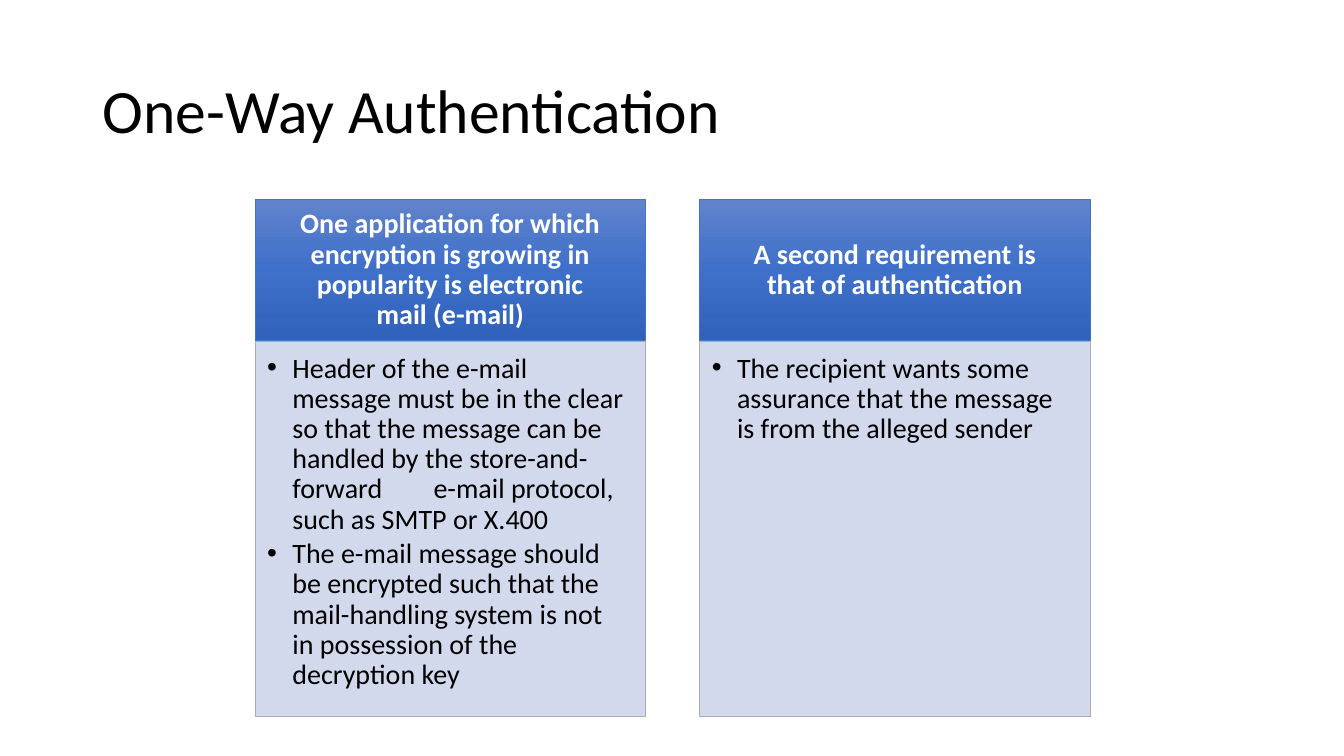
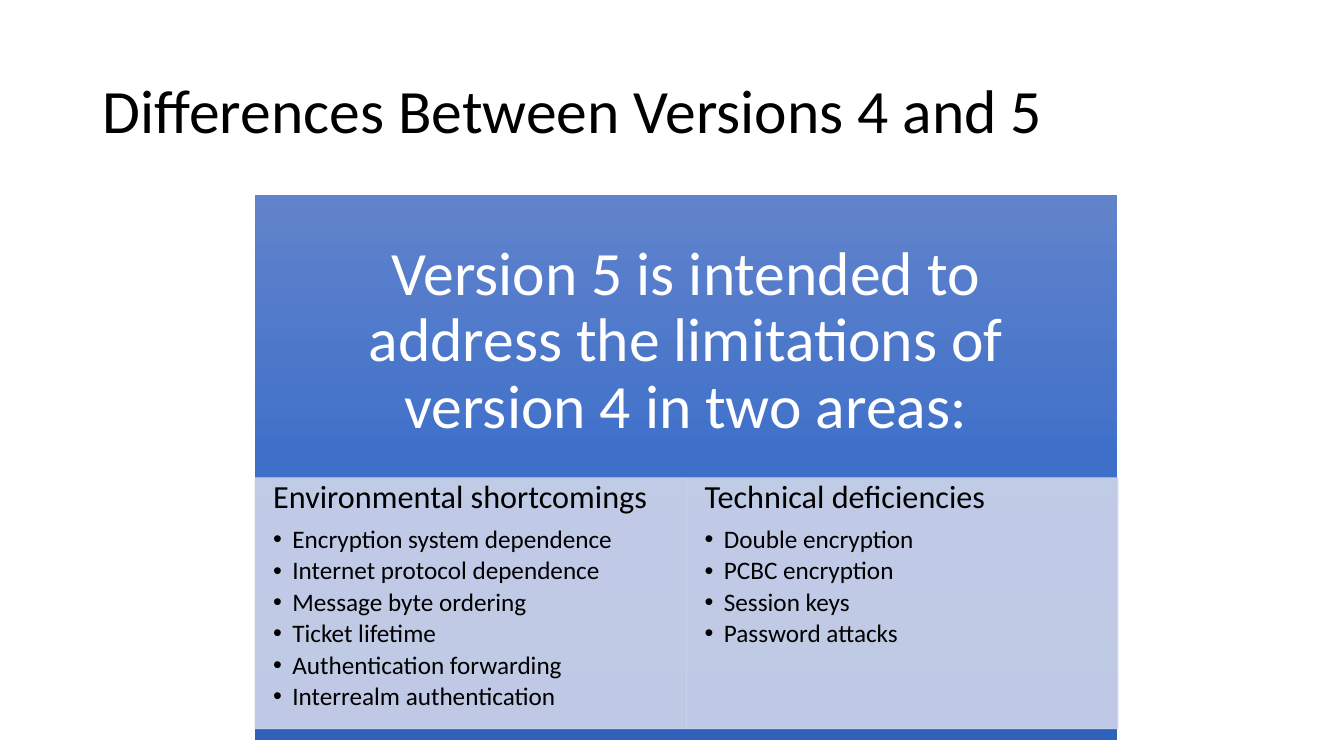
from copy import deepcopy

from lxml.etree import SubElement
from pptx import Presentation
from pptx.dml.color import RGBColor
from pptx.enum.shapes import MSO_SHAPE
from pptx.enum.text import MSO_ANCHOR, PP_ALIGN
from pptx.oxml.ns import qn
from pptx.util import Inches, Pt

FONT = "Calibri"
BLACK = RGBColor(0x00, 0x00, 0x00)
WHITE = RGBColor(0xFF, 0xFF, 0xFF)
BLUE = RGBColor(0x44, 0x72, 0xC4)
GRAY = RGBColor(0xAF, 0xAB, 0xAB)
PALE = RGBColor(0xCF, 0xD5, 0xEA)
BLUES = (RGBColor(0x61, 0x83, 0xCB), RGBColor(0x3E, 0x70, 0xCA),
         RGBColor(0x30, 0x62, 0xBB))


def write(shape, lines, size=20, color=BLACK, bold=False, align=PP_ALIGN.LEFT,
          anchor=MSO_ANCHOR.TOP, inset=(0.1, 0.05, 0.1, 0.05), indent=0,
          head=None, tab=None):
    """Fill a shape with lines; head is the size of a first line without bullet."""
    frame = shape.text_frame
    frame.word_wrap = True
    frame.vertical_anchor = anchor
    (frame.margin_left, frame.margin_top,
     frame.margin_right, frame.margin_bottom) = map(Inches, inset)
    frame.text = "\n".join(lines)
    for i, para in enumerate(frame.paragraphs):
        top = bool(head) and i == 0
        pts = head if top else size
        para.alignment = align
        para.line_spacing = 0.9
        para.space_before = Pt(0)
        para.space_after = Pt(round(pts * (0.35 if top else 0.15)))
        if indent and not top:
            props = para._p.get_or_add_pPr()
            props.set("marL", str(Inches(indent)))
            props.set("indent", str(-Inches(indent)))
            SubElement(props, qn("a:buFont"), typeface="Arial")
            SubElement(props, qn("a:buChar"), char="•")
            if tab and "\t" in para.text:
                stops = SubElement(props, qn("a:tabLst"))
                SubElement(stops, qn("a:tab"), pos=str(Inches(tab)), algn="l")
        for run in para.runs:
            font = run.font
            font.name, font.size, font.bold = FONT, Pt(pts), bold
            font.color.rgb = color


def block(slide, x, y, w, h, edge=None, shade=False, clear=False):
    """Draw a blue gradient (shade) or pale see-through rectangle."""
    shape = slide.shapes.add_shape(
        MSO_SHAPE.RECTANGLE, Inches(x), Inches(y), Inches(w), Inches(h))
    shape.shadow.inherit = False
    fill, line = shape.fill, shape.line
    if edge is None:
        line.fill.background()
    else:
        line.color.rgb = edge
        line.width = Pt(0.5)
    props = shape._element.spPr
    if shade:
        fill.gradient()
        fill.gradient_angle = 270
        first = props.find(".//" + qn("a:gs"))
        first.addnext(deepcopy(first))
        for i, stop in enumerate(fill.gradient_stops):
            stop.position = i / 2
            stop.color.rgb = BLUES[i]
    else:
        fill.solid()
        fill.fore_color.rgb = PALE
        tints = list(props.iter(qn("a:srgbClr")))
        for tint in tints if clear else tints[:1]:
            SubElement(tint, qn("a:alpha"), val="90000")
    return shape


deck = Presentation()
deck.slide_width, deck.slide_height = Inches(13.33), Inches(7.5)

# Titles
slides = []
for text in ("One-Way Authentication", "Differences Between Versions 4 and 5"):
    slide = deck.slides.add_slide(deck.slide_layouts[5])
    title = slide.shapes.title
    title.left, title.top = Inches(0.92), Inches(0.4)
    title.width, title.height = Inches(11.5), Inches(1.45)
    write(title, [text], size=44, anchor=MSO_ANCHOR.MIDDLE)
    slides.append(slide)
oneway, versions = slides
LEFT = 2.53

# Slide 1: two columns, each a header over a list
columns = [
    ("One application for which encryption is growing in popularity is "
     "electronic\vmail (e-mail)",
     ["Header of the e-mail message must be in the clear so that the message "
      "can be handled by the store-and-forward\te-mail protocol, such as "
      "SMTP or X.400",
      "The e-mail message should be encrypted such that the mail-handling "
      "system is not in possession of the decryption key"]),
    ("A second requirement is\vthat of authentication",
     ["The recipient wants some assurance that the message is from the "
      "alleged sender"]),
]
for i, (head, items) in enumerate(columns):
    x = LEFT + i * 4.41
    bar = block(oneway, x, 1.98, 3.87, 1.4, edge=BLUE, shade=True)
    write(bar, [head], color=WHITE, bold=True, align=PP_ALIGN.CENTER,
          anchor=MSO_ANCHOR.MIDDLE, inset=(0.16, 0.09, 0.16, 0.09))
    body = block(oneway, x, 3.39, 3.87, 3.72, edge=GRAY)
    write(body, items, inset=(0.12, 0.12, 0.16, 0.17), indent=0.25, tab=1.65)

# Slide 2: one panel with two lists set into its lower part
panel = block(versions, LEFT, 1.93, 8.55, 5.41, shade=True)
write(panel,
      ["Version 5 is intended to address the limitations of version 4 "
       "in two areas:"],
      size=44, color=WHITE, align=PP_ALIGN.CENTER, anchor=MSO_ANCHOR.MIDDLE,
      inset=(0.34, 0.34, 0.34, 2.83))
areas = [
    ["Environmental shortcomings", "Encryption system dependence",
     "Internet protocol dependence", "Message byte ordering",
     "Ticket lifetime", "Authentication forwarding",
     "Interrealm authentication"],
    ["Technical deficiencies", "Double encryption", "PCBC encryption",
     "Session keys", "Password attacks"],
]
for i, lines in enumerate(areas):
    area = block(versions, LEFT + i * 4.28, 4.74, 4.28, 2.49,
                 edge=PALE, clear=True)
    write(area, lines, size=18, head=23, indent=0.19,
          inset=(0.18, 0.03, 0.18, 0.03))

deck.save("out.pptx")
